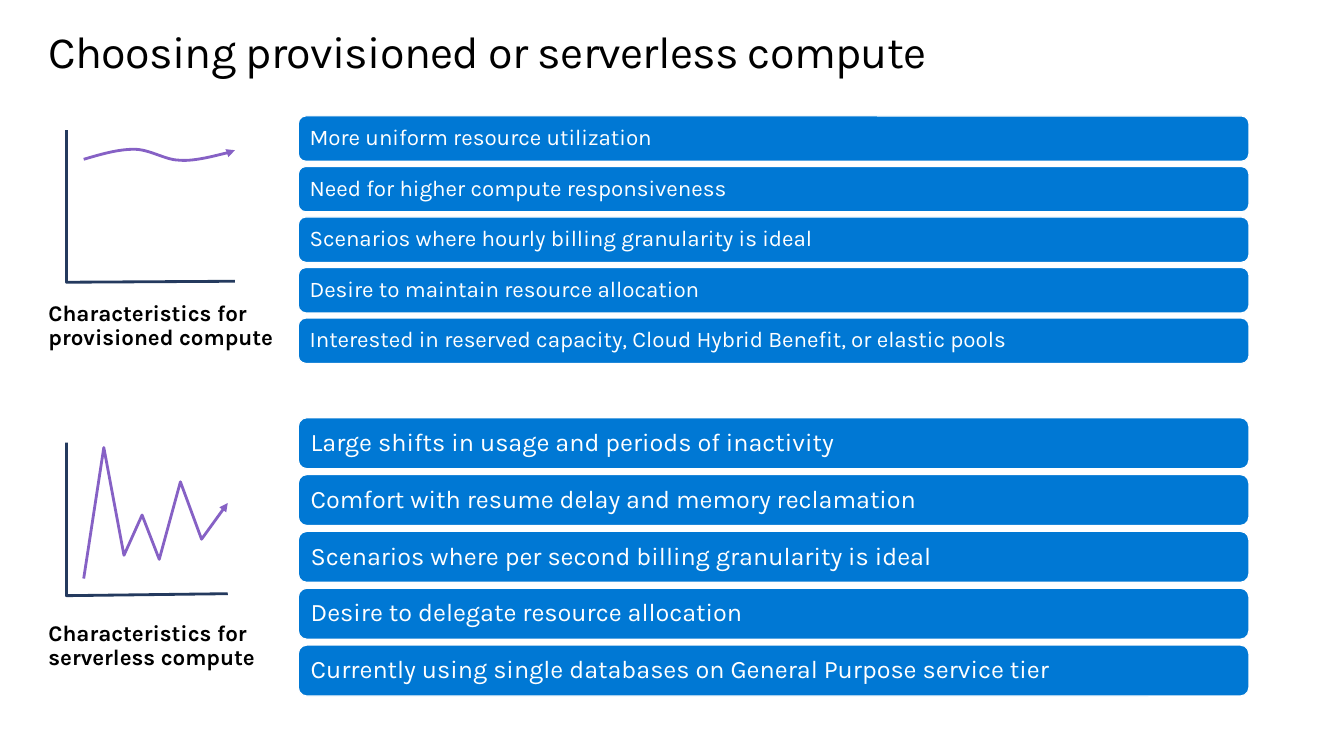
from lxml import etree
from pptx import Presentation
from pptx.dml.color import RGBColor
from pptx.enum.shapes import MSO_SHAPE
from pptx.enum.text import MSO_ANCHOR, MSO_AUTO_SIZE, PP_ALIGN
from pptx.oxml.ns import qn
from pptx.util import Pt

ROUND = MSO_SHAPE.ROUNDED_RECTANGLE
TOP, MIDDLE = MSO_ANCHOR.TOP, MSO_ANCHOR.MIDDLE
FIXED = MSO_AUTO_SIZE.NONE
LEFT = PP_ALIGN.LEFT

COLORS = {
    "ink": "000000",
    "paper": "FFFFFF",
    "bar": "0078D4",
    "axis": "243A5E",
    "trend": "8661C5",
}

GROUPS = [
    {
        "label": "Characteristics for provisioned compute",
        "place": (34.6, 216, 184.3, 34.6),
        "bars": [
            "More uniform resource utilization",
            "Need for higher compute responsiveness",
            "Scenarios where hourly billing granularity is ideal",
            "Desire to maintain resource allocation",
            "Interested in reserved capacity, Cloud Hybrid Benefit, or elastic pools",
        ],
        "top": 82.8, "pitch": 36.1, "height": 32.4, "size": 16, "inset": 6.5,
        "axis": [(47.5, 92.9), (47.5, 201.6), (167.8, 200.9)],
        "trend": [
            (59.8, 113.8),
            (72, 110.2), (84.2, 106.6), (95.8, 106.6),
            (107.3, 106.6), (118.1, 114.5), (128.9, 114.5),
            (139.7, 115.2), (154.8, 110.9), (161.3, 109.4),
            (167.8, 108.7), (167.8, 108), (167.8, 107.3),
        ],
        "curved": True,
    },
    {
        "label": "Characteristics for serverless compute",
        "place": (34.6, 444.2, 190.1, 34.6),
        "bars": [
            "Large shifts in usage and periods of inactivity",
            "Comfort with resume delay and memory reclamation",
            "Scenarios where per second billing granularity is ideal",
            "Desire to delegate resource allocation",
            "Currently using single databases on General Purpose service tier",
        ],
        "top": 298.4, "pitch": 40.6, "height": 36.4, "size": 18, "inset": 7.2,
        "axis": [(47.5, 316.1), (47.5, 425.5), (162.7, 424.1)],
        "trend": [
            (59.8, 413.3), (74.2, 319.7), (88.6, 396.7), (101.5, 367.9),
            (113.8, 399.6), (128.9, 344.2), (144, 385.2), (162.7, 359.3),
        ],
        "curved": False,
    },
]


def rgb(name):
    return RGBColor.from_string(COLORS[name])


class Deck:
    font = "Karla"

    def __init__(self, width, height):
        self.deck = Presentation()
        self.deck.slide_width, self.deck.slide_height = Pt(width), Pt(height)
        self.slide = self.deck.slides.add_slide(self.deck.slide_layouts[5])
        self.shapes = self.slide.shapes

    def text(self, shape, words, size, color, inset=(0, 0), bold=False, anchor=TOP, lead=0.9):
        frame = shape.text_frame
        frame.text = words
        frame.word_wrap = True
        frame.auto_size = FIXED
        frame.vertical_anchor = anchor
        frame.margin_left, frame.margin_top = Pt(inset[0]), Pt(inset[1])
        frame.margin_right = frame.margin_bottom = 0
        para = frame.paragraphs[0]
        para.alignment = LEFT
        para.line_spacing = lead
        para.font.name = self.font
        para.font.size = Pt(size)
        para.font.bold = bold
        para.font.color.rgb = rgb(color)
        return para

    def title(self, words, x, y, width, height):
        shape = self.shapes.title
        shape.left, shape.top, shape.width, shape.height = map(Pt, (x, y, width, height))
        para = self.text(shape, words, 32, "ink", inset=(0, 13), lead=1)
        para.runs[0].font.size = Pt(32)
        for props in shape.element.iter(qn("a:rPr")):
            props.set("spc", "-50")

    def label(self, words, place):
        box = self.shapes.add_textbox(*map(Pt, place))
        self.text(box, words, 16, "ink", bold=True)

    def bar(self, words, y, height, size, inset):
        shape = self.shapes.add_shape(ROUND, Pt(213.1), Pt(y), Pt(679), Pt(height))
        shape.shadow.inherit = False
        shape.fill.solid()
        shape.fill.fore_color.rgb = rgb("bar")
        shape.line.color.rgb = rgb("paper")
        shape.line.width = Pt(0.85)
        self.text(shape, words, size, "paper", inset=(inset, 0), anchor=MIDDLE)

    def stroke(self, points, color, curved=False, arrow=False):
        spots = [(Pt(x), Pt(y)) for x, y in points]
        pen = self.shapes.build_freeform(*spots[0])
        pen.add_line_segments(spots[1:], close=False)
        shape = pen.convert_to_shape()
        shape.shadow.inherit = False
        shape.fill.background()
        shape.line.color.rgb = rgb(color)
        shape.line.width = Pt(2)
        if curved:
            self.bend(shape)
        if arrow:
            line = shape.element.spPr.find(qn("a:ln"))
            etree.SubElement(line, qn("a:tailEnd"), type="triangle")

    def bend(self, shape):
        legs = list(shape.element.iter(qn("a:lnTo")))
        for start in range(0, len(legs), 3):
            trio = legs[start:start + 3]
            curve = etree.Element(qn("a:cubicBezTo"))
            trio[0].addprevious(curve)
            for leg in trio:
                curve.append(leg[0])
                leg.getparent().remove(leg)

    def group(self, data):
        for row, words in enumerate(data["bars"]):
            y = data["top"] + row * data["pitch"]
            self.bar(words, y, data["height"], data["size"], data["inset"])
        self.label(data["label"], data["place"])
        self.stroke(data["axis"], "axis")
        self.stroke(data["trend"], "trend", data["curved"], arrow=True)


def main():
    page = Deck(960, 540)
    page.title("Choosing provisioned or serverless compute", 34.6, 3.6, 892.8, 58.3)
    for data in GROUPS:
        page.group(data)
    page.deck.save("out.pptx")


if __name__ == "__main__":
    main()
